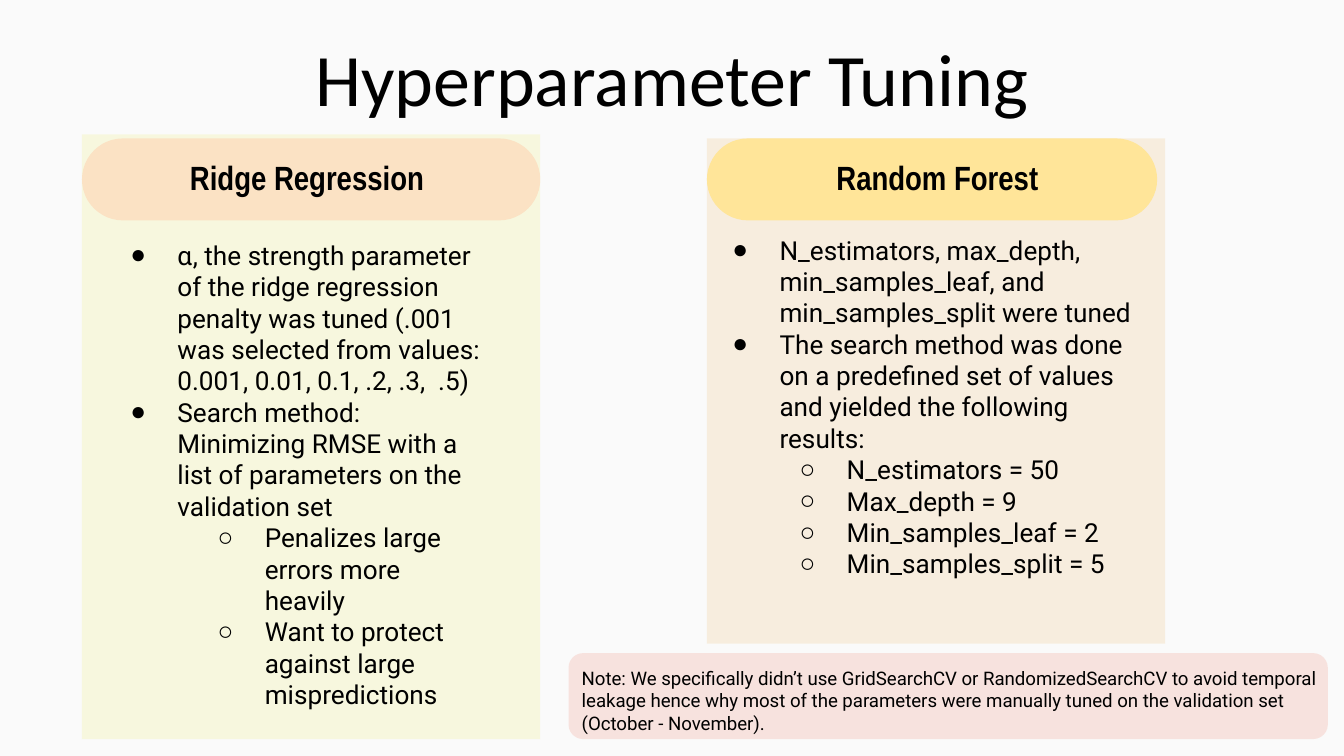
from dataclasses import dataclass

from lxml.etree import SubElement as Sub
from pptx import Presentation as Deck
from pptx.dml.color import RGBColor as Rgb
from pptx.enum.shapes import MSO_SHAPE as Kind
from pptx.enum.text import MSO_ANCHOR as Anchor, MSO_AUTO_SIZE as Fit, PP_ALIGN as Align
from pptx.oxml.ns import qn
from pptx.util import Inches, Pt


@dataclass(frozen=True)
class Theme:
    back: str = "FAFAFA"
    ink: str = "000000"
    lime: str = "E4EA27"
    amber: str = "E99B27"
    red: str = "EA4827"
    peach: str = "FBE2C4"
    gold: str = "FFE599"
    tint: int = 13
    title: float = 39.6
    head: float = 18
    body: float = 14
    note: float = 10


@dataclass(frozen=True)
class Box:
    left: float
    top: float
    width: float
    height: float

    def lengths(self) -> list:
        return [Inches(n) for n in (self.left, self.top, self.width, self.height)]


@dataclass(frozen=True)
class Item:
    text: str
    level: int = 0


@dataclass(frozen=True)
class Panel:
    head: str
    items: tuple
    area: Box
    pill: Box
    label: Box
    list: Box
    indent: float
    fill: str
    cap: str


THEME = Theme()

PANELS = (
    Panel(
        "Ridge Regression",
        (
            Item("ɑ, the strength parameter of the ridge regression penalty was tuned "
                 "(.001 was selected from values: 0.001, 0.01, 0.1, .2, .3,  .5)"),
            Item("Search method: Minimizing RMSE with a list of parameters on the validation set"),
            Item("Penalizes large errors more heavily", 1),
            Item("Want to protect against large mispredictions", 1),
        ),
        Box(0.61, 1, 3.41, 4.5), Box(0.61, 1.03, 3.41, 0.61),
        Box(1.06, 1.15, 2.45, 0.34), Box(0.87, 1.68, 2.81, 1.16),
        0.35, THEME.lime, THEME.peach,
    ),
    Panel(
        "Random Forest",
        (
            Item("N_estimators, max_depth, min_samples_leaf, and min_samples_split were tuned"),
            Item("The search method was done on a predefined set of values  "
                 "and yielded the following results:"),
            Item("N_estimators = 50", 1),
            Item("Max_depth = 9", 1),
            Item("Min_samples_leaf = 2", 1),
            Item("Min_samples_split = 5", 1),
        ),
        Box(5.26, 1.03, 3.41, 3.76), Box(5.26, 1.03, 3.35, 0.61),
        Box(5.52, 1.14, 2.91, 0.36), Box(5.2, 1.64, 3.41, 1.24),
        0.5, THEME.amber, THEME.gold,
    ),
)

NOTE = ("Note: We specifically didn’t use GridSearchCV or RandomizedSearchCV to avoid temporal "
        "leakage hence why most of the parameters were manually tuned on the validation set "
        "(October - November).")


def place(shape, box: Box) -> None:
    shape.left, shape.top, shape.width, shape.height = box.lengths()


def bullet(para, level: int, indent: float) -> None:
    para.level = level
    props = para._p.get_or_add_pPr()
    props.set("marL", str(Inches(1 if level else indent)))
    props.set("indent", str(-Inches(0.35)))
    color = Sub(props, qn("a:buClr"))
    Sub(color, qn("a:srgbClr"), val=THEME.ink)
    Sub(props, qn("a:buFont"), typeface="Arial")
    Sub(props, qn("a:buChar"), char="○" if level else "●")


def write(shape, *items: Item, size: float, font: str = "Roboto", bold: bool = False,
          align=Align.LEFT, anchor=Anchor.TOP, indent: float = 0) -> None:
    frame = shape.text_frame
    frame.word_wrap = True
    frame.auto_size = Fit.NONE
    frame.vertical_anchor = anchor
    frame.margin_left = frame.margin_right = Inches(0.1)
    frame.margin_top = frame.margin_bottom = Inches(0.1)
    for i, item in enumerate(items):
        para = frame.add_paragraph() if i else frame.paragraphs[0]
        para.alignment = align
        para.space_before = Pt(0)
        if indent:
            bullet(para, item.level, indent)
        run = para.add_run()
        run.text = item.text
        run.font.name = font
        run.font.size = Pt(size)
        run.font.bold = bold
        run.font.color.rgb = Rgb.from_string(THEME.ink)


def block(slide, box: Box, color: str, kind=Kind.RECTANGLE, bend: float = 0,
          alpha: int = 100) -> None:
    shape = slide.shapes.add_shape(kind, *box.lengths())
    shape.shadow.inherit = False
    shape.fill.solid()
    shape.fill.fore_color.rgb = Rgb.from_string(color)
    shape.line.fill.background()
    if bend:
        shape.adjustments[0] = bend
    if alpha < 100:
        tone = shape.element.spPr.find(qn("a:solidFill")).find(qn("a:srgbClr"))
        Sub(tone, qn("a:alpha"), val=str(alpha * 1000))


def draw(slide, panel: Panel, body) -> None:
    block(slide, panel.area, panel.fill, alpha=THEME.tint)
    block(slide, panel.pill, panel.cap, Kind.ROUNDED_RECTANGLE, 0.5)
    label = slide.shapes.add_textbox(*panel.label.lengths())
    write(label, Item(panel.head), size=THEME.head, font="Arial Narrow", bold=True,
          align=Align.CENTER, anchor=Anchor.MIDDLE)
    place(body, panel.list)
    write(body, *panel.items, size=THEME.body, indent=panel.indent)
    body.element.getparent().append(body.element)


def main() -> None:
    deck = Deck()
    deck.slide_width = Inches(10)
    deck.slide_height = deck.slide_width * 9 // 16
    slide = deck.slides.add_slide(deck.slide_layouts[3])
    slide.background.fill.solid()
    slide.background.fill.fore_color.rgb = Rgb.from_string(THEME.back)

    title, *bodies = list(slide.placeholders)
    place(title, Box(0.5, 0.14, 9, 0.41))
    write(title, Item("Hyperparameter Tuning"), size=THEME.title, font="Calibri",
          align=Align.CENTER)
    for panel, body in zip(PANELS, bodies):
        draw(slide, panel, body)

    block(slide, Box(4.23, 4.86, 5.65, 0.64), THEME.red, Kind.ROUNDED_RECTANGLE, 0.17,
          THEME.tint)
    note = slide.shapes.add_textbox(*Box(4.23, 4.86, 5.7, 0.41).lengths())
    write(note, Item(NOTE), size=THEME.note)
    deck.save("out.pptx")


if __name__ == "__main__":
    main()
